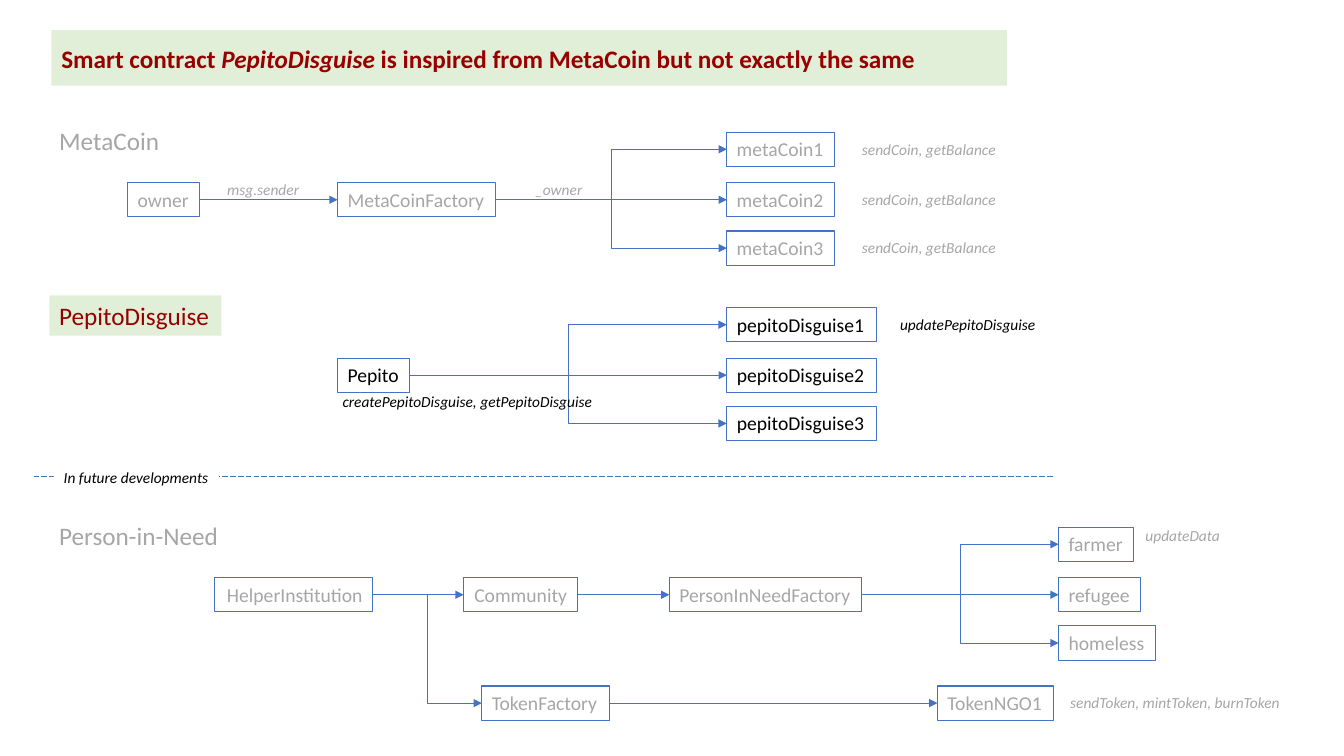
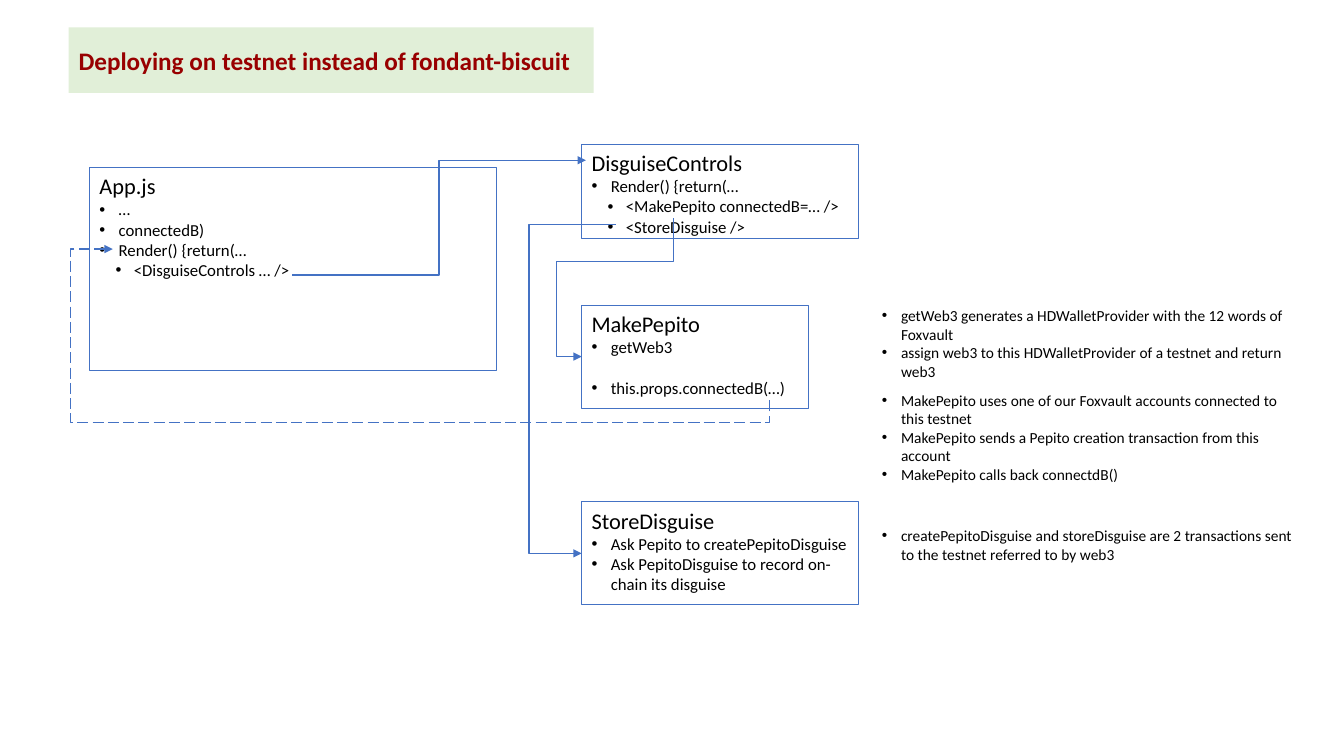
"""Build two slides on how the disguise contracts fit together."""
from dataclasses import dataclass
from typing import NamedTuple

from lxml.etree import SubElement
from pptx import Presentation
from pptx.dml.color import RGBColor
from pptx.enum.dml import MSO_LINE
from pptx.enum.shapes import MSO_CONNECTOR, MSO_SHAPE
from pptx.enum.text import MSO_ANCHOR, PP_ALIGN
from pptx.oxml.ns import qn
from pptx.util import Pt


@dataclass(frozen=True)
class Theme:
    """Hold the colours, type sizes and line widths."""
    font: str = "Calibri"
    ink: RGBColor = RGBColor(0, 0, 0)
    gray: RGBColor = RGBColor(0xA6, 0xA6, 0xA6)
    red: RGBColor = RGBColor(0x98, 0, 0)
    blue: RGBColor = RGBColor(0x44, 0x72, 0xC4)
    band: RGBColor = RGBColor(0xE1, 0xEF, 0xD8)
    white: RGBColor = RGBColor(0xFF, 0xFF, 0xFF)
    title: int = 18
    name: int = 16
    node: int = 14
    item: int = 12
    note: int = 11
    edge: float = 0.75
    thin: float = 0.5
    wire: float = 1


THEME = Theme()
ROW = 57
FAN = (-36, 0, 34.5)
MARKS = ((13.7, -13.7), (24.5, -13))


class Box(NamedTuple):
    """Hold a frame in points."""
    x: float
    y: float
    w: float
    h: float

    @property
    def right(self):
        """Return the right edge."""
        return self.x + self.w

    @property
    def mid(self):
        """Return the middle height."""
        return self.y + self.h / 2


def style(run, size, color, bold=False, slant=False):
    """Format one run."""
    font = run.font
    font.name, font.size = THEME.font, Pt(size)
    font.color.rgb = color
    font.bold, font.italic = bold, slant


def frame(slide, box, fill=None, line=None, wrap=False):
    """Add a plain or filled rectangle and return its text frame."""
    place = [Pt(v) for v in box]
    if fill is None and line is None:
        shape = slide.shapes.add_textbox(*place)
    else:
        shape = slide.shapes.add_shape(MSO_SHAPE.RECTANGLE, *place)
        shape.shadow.inherit = False
        if fill is None:
            shape.fill.background()
        else:
            shape.fill.solid()
            shape.fill.fore_color.rgb = fill
        if line is None:
            shape.line.fill.background()
        else:
            shape.line.color.rgb = line
            shape.line.width = Pt(THEME.edge)
    text = shape.text_frame
    text.word_wrap = wrap
    text.vertical_anchor = MSO_ANCHOR.TOP
    return text


def label(slide, box, words, size, color, fill=None, line=None,
          slant=False, align=PP_ALIGN.LEFT):
    """Add one line of text in a box."""
    text = frame(slide, box, fill, line)
    text.text = words
    part = text.paragraphs[0]
    part.alignment = align
    style(part.runs[0], size, color, slant=slant)
    return box


def head(slide, box, parts):
    """Add the title band from pairs of words and slant."""
    text = frame(slide, box, THEME.band)
    text.vertical_anchor = MSO_ANCHOR.MIDDLE
    line = text.paragraphs[0]
    line.alignment = PP_ALIGN.LEFT
    for words, slant in parts:
        run = line.add_run()
        run.text = words
        style(run, THEME.title, THEME.red, True, slant)


def node(slide, x, mid, wide, words, color=THEME.gray, align=PP_ALIGN.LEFT):
    """Add a framed name centred on a height."""
    box = Box(x, mid - 12.2, wide, 24.4)
    return label(slide, box, words, THEME.node, color,
                 line=THEME.blue, align=align)


def note(slide, x, mid, wide, words, color=THEME.gray, fill=None):
    """Add a slanted remark centred on a height."""
    box = Box(x, mid - 10.4, wide, 20.8)
    label(slide, box, words, THEME.note, color, fill, slant=True)


def wire(slide, start, end, bend=None, width=THEME.thin, dash=False, tip="a:tailEnd"):
    """Join two points, turning at the bend when one is given."""
    flat = start[1] == end[1]
    kind = MSO_CONNECTOR.STRAIGHT if flat else MSO_CONNECTOR.ELBOW
    link = slide.shapes.add_connector(kind, *[Pt(v) for v in (*start, *end)])
    link.line.color.rgb = THEME.blue
    link.line.width = Pt(width)
    if dash:
        link.line.dash_style = MSO_LINE.LONG_DASH
    props = link.element.spPr
    if tip:
        SubElement(props.find(qn("a:ln")), qn(tip), type="triangle")
    SubElement(props, qn("a:effectLst"))
    if bend:
        geom = props.find(qn("a:prstGeom"))
        geom.set("prst", f"bentConnector{len(bend) + 2}")
        guides = geom.find(qn("a:avLst"))
        for i, (turn, a, b) in enumerate(zip(bend, start, end), 1):
            ratio = round((turn - a) / (b - a) * 100000)
            name = "adj" if len(bend) == 1 and False else f"adj{i}"
            SubElement(guides, qn("a:gd"), name=name, fmla=f"val {ratio}")


def join(slide, left, right):
    """Draw an arrow from one node to the next."""
    wire(slide, (left.right, left.mid), (right.x, right.mid))


def fan(slide, root, x, names, color=THEME.gray):
    """Add a column of nodes fed by one root."""
    leaves = []
    for step, (words, wide) in zip(FAN, names):
        leaf = node(slide, x, root.mid + step, wide, words, color)
        join(slide, root, leaf)
        leaves.append(leaf)
    return leaves


def coin(slide, box):
    """Draw the coin contract region."""
    label(slide, Box(box.x, box.y, 86.4, 28.8), "MetaCoin", THEME.title, THEME.gray)
    row = box.y + ROW
    owner = node(slide, box.x + 56, row, 51.5, "owner")
    plant = node(slide, box.x + 206, row, 113, "MetaCoinFactory")
    join(slide, owner, plant)
    names = [(f"metaCoin{i}", 77) for i in (1, 2, 3)]
    for leaf in fan(slide, plant, box.x + 484, names):
        note(slide, leaf.right + 12.4, leaf.mid, 111, "sendCoin, getBalance")
    note(slide, owner.right + 12.5, row - 7.5, 67, "msg.sender")
    note(slide, plant.right + 21, row - 7.5, 48, "_owner")


def guise(slide, box):
    """Draw the disguise contract region."""
    label(slide, Box(box.x, box.y, 123, 28.8), "PepitoDisguise",
          THEME.title, THEME.red, THEME.band)
    row = box.y + ROW
    root = node(slide, box.x + 206, row, 51.5, "Pepito", THEME.ink)
    names = [(f"pepitoDisguise{i}", 106.6) for i in (1, 2, 3)]
    first = fan(slide, root, box.x + 484, names, THEME.ink)[0]
    note(slide, first.right + 10, first.mid, 111.6, "updatePepitoDisguise", THEME.ink)
    note(slide, root.x - 3.6, row + 19, 194.4,
         "createPepitoDisguise, getPepitoDisguise", THEME.ink)


def split(slide, box):
    """Draw the dashed line before later work."""
    wire(slide, (box.x, box.y), (box.right, box.y), dash=True, tip=None)
    note(slide, box.x + 14.4, box.y + 1, 118, "In future developments",
         THEME.ink, THEME.white)


def need(slide, box):
    """Draw the planned person-in-need region."""
    label(slide, Box(box.x, box.y, 129, 28.8), "Person-in-Need",
          THEME.title, THEME.gray)
    row = box.y + ROW
    low = row + 77.4
    helper = node(slide, box.x + 118, row, 113, "HelperInstitution",
                  align=PP_ALIGN.RIGHT)
    group = node(slide, box.x + 296, row, 81.5, "Community", align=PP_ALIGN.CENTER)
    plant = node(slide, box.x + 443, row, 137.5, "PersonInNeedFactory")
    mint = node(slide, box.x + 309, low, 91, "TokenFactory")
    token = node(slide, box.x + 634.4, low, 82.8, "TokenNGO1")
    for left, right in ((helper, group), (group, plant), (helper, mint), (mint, token)):
        join(slide, left, right)
    names = [("farmer", 53.5), ("refugee", 58.5), ("homeless", 69)]
    first = fan(slide, plant, box.x + 721, names)[0]
    note(slide, first.right + 1.4, first.mid - 6, 68.4, "updateData")
    note(slide, token.right + 5, low, 169, "sendToken, mintToken, burnToken")


def mark(part, level):
    """Give a paragraph a bullet and a hanging indent."""
    part.level = level
    left, hang = MARKS[level]
    props = part._p.get_or_add_pPr()
    props.set("marL", str(Pt(left)))
    props.set("indent", str(Pt(hang)))
    SubElement(props, qn("a:buFont"), typeface="Arial")
    SubElement(props, qn("a:buChar"), char="•")


def panel(slide, box, name, items, wrap=False):
    """Add a framed list of level, words and gap under a name."""
    text = frame(slide, box, line=THEME.blue, wrap=wrap)
    text.text = "\n".join([name] + [item[1] for item in items])
    first, *rest = text.paragraphs
    first.alignment = PP_ALIGN.LEFT
    style(first.runs[0], THEME.name, THEME.ink)
    for part, (level, _, gap) in zip(rest, items):
        part.alignment = PP_ALIGN.LEFT
        if gap:
            part.space_before = Pt(gap)
        mark(part, level)
        style(part.runs[0], THEME.item, THEME.ink)


def notes(slide, box, items):
    """Add a bulleted remark block."""
    text = frame(slide, box, THEME.white, wrap=True)
    text.text = "\n".join(items)
    for part in text.paragraphs:
        part.alignment = PP_ALIGN.LEFT
        mark(part, 0)
        style(part.runs[0], THEME.note, THEME.ink)


def flow(slide, box):
    """Draw the code panels and the calls between them."""
    col = box.x + 351.5
    app = Box(box.x, box.y + 16.5, 291, 145.5)
    ctrl = Box(col, box.y, 198, 67.4)
    make = Box(col, box.y + 115, 162, 73.5)
    store = Box(col, box.y + 255.5, 198, 73.5)
    panel(slide, app, "App.js", [
        (0, "…", 0), (0, "connectedB)", 0), (0, "Render() {return(…", 0),
        (1, "<DisguiseControls … />", 0)])
    panel(slide, ctrl, "DisguiseControls", [
        (0, "Render() {return(…", 0), (1, "<MakePepito connectedB=… />", 0),
        (1, "<StoreDisguise />", 0)])
    panel(slide, make, "MakePepito", [
        (0, "getWeb3", 0), (0, "this.props.connectedB(…)", 14.6)])
    panel(slide, store, "StoreDisguise", [
        (0, "Ask Pepito to createPepitoDisguise", 0),
        (0, "Ask PepitoDisguise to record on-chain its disguise", 0)], True)
    wide = THEME.wire
    wire(slide, (app.x + 144.7, app.y + 77), (ctrl.x + 3, ctrl.y + 11.5), width=wide)
    wire(slide, (make.x, make.mid), (ctrl.x + 65.5, ctrl.y + 53),
         (make.x - 18, ctrl.y + 84), wide, tip="a:headEnd")
    wire(slide, (app.x + 16.6, app.y + 58.4), (make.x + 134, make.y + 66.4),
         (app.x - 13.6, make.y + 83.7), wide, True, "a:headEnd")
    wire(slide, (ctrl.x + 24.5, ctrl.y + 57.5), (store.x, store.mid),
         (store.x - 37.5,), wide)


def aside(slide, box):
    """Add the remarks beside the panels."""
    blocks = [
        (0, 60.5, ["getWeb3 generates a HDWalletProvider with the 12 words of Foxvault",
                   "assign web3 to this HDWalletProvider of a testnet and return web3"]),
        (60.5, 74, ["MakePepito uses one of our Foxvault accounts connected to this testnet",
                    "MakePepito sends a Pepito creation transaction from this account",
                    "MakePepito calls back connectdB()"]),
        (157, 34, ["createPepitoDisguise and storeDisguise are 2 transactions sent "
                   "to the testnet referred to by web3"])]
    for drop, tall, items in blocks:
        notes(slide, Box(box.x, box.y + drop, box.w, tall), items)


def main():
    """Build and save the deck."""
    deck = Presentation()
    deck.slide_width, deck.slide_height = Pt(960), Pt(540)
    plan, code = [deck.slides.add_slide(deck.slide_layouts[6]) for _ in range(2)]
    head(plan, Box(36.7, 21.6, 682.5, 39.6), [
        ("Smart contract ", False), ("PepitoDisguise", True),
        (" is inspired from MetaCoin but not exactly the same", False)])
    coin(plan, Box(35.2, 85.7, 684, 104))
    guise(plan, Box(35.2, 211, 712, 104))
    split(plan, Box(24, 340.5, 728, 0))
    need(plan, Box(35.2, 367.8, 892, 147))
    head(code, Box(49, 19.5, 375, 46.8),
         [("Deploying on testnet instead of fondant-biscuit", False)])
    flow(code, Box(64, 103, 549.5, 329))
    aside(code, Box(622.8, 215.3, 308.2, 191))
    deck.save("out.pptx")


main()
